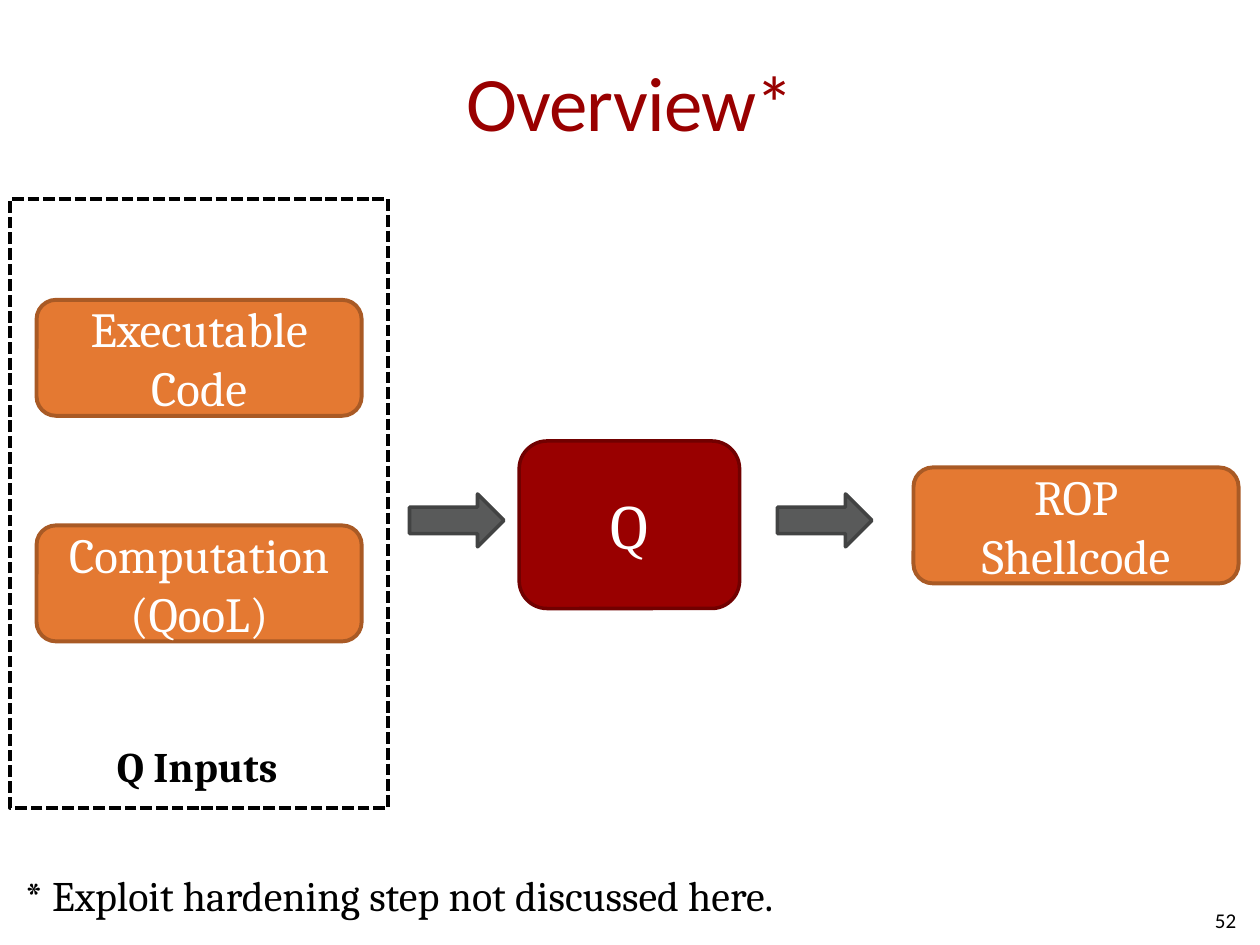
"""Build the overview slide: inputs flow through Q into shellcode."""
from pptx import Presentation
from pptx.dml.color import RGBColor
from pptx.enum import dml, shapes, text
from pptx.util import Inches, Pt

ORANGE = RGBColor(0xE4, 0x79, 0x32)
RUST = RGBColor(0xA9, 0x5A, 0x25)
RED = RGBColor(0x99, 0x00, 0x00)
MAROON = RGBColor(0x71, 0x00, 0x00)
GRAY = RGBColor(0x59, 0x5A, 0x5A)
SLATE = RGBColor(0x42, 0x43, 0x43)
BLACK = RGBColor(0, 0, 0)
WHITE = RGBColor(0xFF, 0xFF, 0xFF)

KIND = shapes.MSO_SHAPE
ALIGN = text.PP_ALIGN
MIDDLE = text.MSO_ANCHOR.MIDDLE

TITLE = "Overview*"
NUMBER = "52"
LABEL = "Q Inputs"
NOTE = "* Exploit hardening step not discussed here."
CARDS = [
    ("Executable Code", 0.29, 2.38),
    ("Computation\v(QooL)", 0.29, 4.17),
    ("ROP\vShellcode", 7.25, 3.71),
]
ARROWS = [3.25, 6.17]


def write(shape, words, size, color, face="Cambria", align=ALIGN.CENTER, bold=None):
    frame = shape.text_frame
    frame.text = words
    para = frame.paragraphs[0]
    para.alignment = align
    font = para.font
    font.name, font.size, font.bold = face, Pt(size), bold
    font.color.rgb = color
    return frame


def draw(slide, kind, box, fill, line, width):
    shape = slide.shapes.add_shape(kind, *map(Inches, box))
    shape.shadow.inherit = False
    if fill is None:
        shape.fill.background()
    else:
        shape.fill.solid()
        shape.fill.fore_color.rgb = fill
    shape.line.color.rgb = line
    shape.line.width = Pt(width)
    return shape


def label(slide, box, words, size, color, wrap=False, **style):
    shape = slide.shapes.add_textbox(*map(Inches, box))
    frame = write(shape, words, size, color, **style)
    frame.word_wrap = wrap
    return frame


def main():
    deck = Presentation()
    deck.slide_width, deck.slide_height = Inches(10), Inches(7.5)
    slide = deck.slides.add_slide(deck.slide_layouts[6])

    title = label(slide, (0.5, 0.17, 9, 1.25), TITLE, 44, RED, True, face="Calibri")
    title.vertical_anchor = MIDDLE
    title.margin_left = title.margin_right = 0
    title.paragraphs[0].runs[0].font._element.set("spc", "-50")

    page = label(slide, (7.58, 7.1, 2.33, 0.4), NUMBER, 12, BLACK, True,
                 face="Calibri", align=ALIGN.RIGHT)
    page.vertical_anchor = MIDDLE

    for words, left, top in CARDS:
        card = draw(slide, KIND.ROUNDED_RECTANGLE, (left, top, 2.58, 0.92),
                    ORANGE, RUST, 2.25)
        write(card, words, 28, WHITE).vertical_anchor = MIDDLE

    label(slide, (0.83, 5.83, 1.51, 0.5), LABEL, 24, BLACK,
          align=ALIGN.LEFT, bold=True)
    group = draw(slide, KIND.RECTANGLE, (0.08, 1.58, 3, 4.83), None, BLACK, 2.25)
    group.line.dash_style = dml.MSO_LINE.SQUARE_DOT

    for left in ARROWS:
        draw(slide, KIND.RIGHT_ARROW, (left, 3.92, 0.75, 0.42), GRAY, SLATE, 2)

    core = draw(slide, KIND.ROUNDED_RECTANGLE, (4.12, 3.5, 1.75, 1.33), RED, MAROON, 2)
    write(core, "Q", 36, WHITE).vertical_anchor = MIDDLE

    label(slide, (0.1, 6.85, 6.5, 0.5), NOTE, 24, BLACK, align=ALIGN.LEFT)
    deck.save("out.pptx")


if __name__ == "__main__":
    main()
